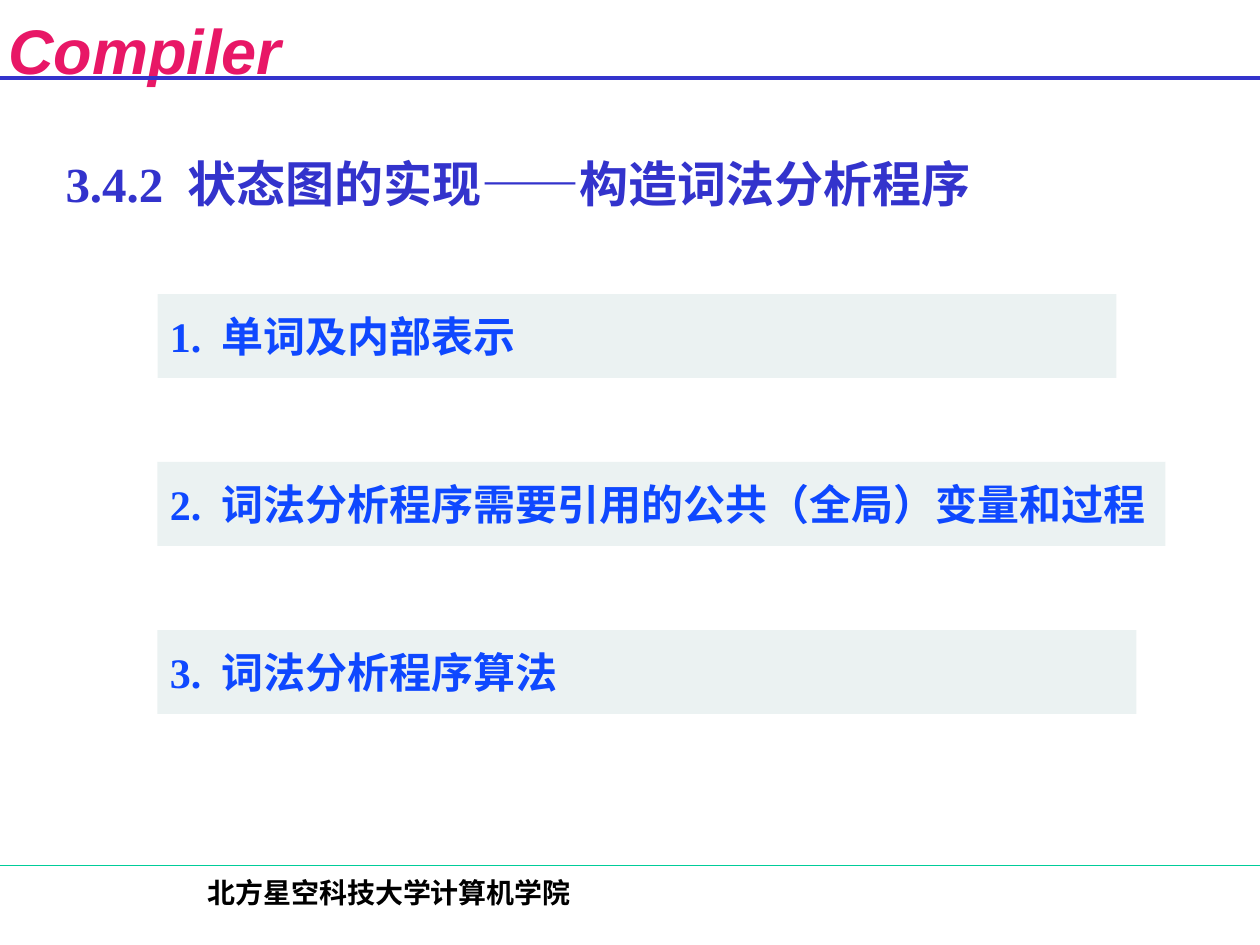
from dataclasses import dataclass

import pptx
import pptx.dml.color
import pptx.enum.shapes
import pptx.enum.text
import pptx.oxml
import pptx.oxml.ns
import pptx.util

WIDTH = pptx.util.Inches(10)
HEIGHT = pptx.util.Inches(7.5)
COLUMNS, ROWS = 100, 45
LATIN, CHINESE = "Times New Roman", "Noto Sans CJK SC"
BLUE, ITEM_BLUE, ITEM_FILL = "3333CC", "0F48FF", "D9E6E6"
GREEN, PINK, BLACK = "00CC99", "E81766", "000000"
FIRST_ITEM_ROW, ITEM_PITCH, ITEM_ROWS = 14, 8, 4


@dataclass(frozen=True)
class Box:
    """Place and size in grid columns and rows."""
    column: float
    row: float
    columns: float
    rows: float


@dataclass(frozen=True)
class Style:
    size: float
    color: str
    latin: str = LATIN
    east_asian: str = CHINESE
    italic: bool = False


@dataclass(frozen=True)
class Item:
    number: str
    text: str
    columns: float


@dataclass(frozen=True)
class Rule:
    row: float
    color: str
    weight: float


ITEMS = [
    Item("1.", "单词及内部表示", 76.1),
    Item("2.", "词法分析程序需要引用的公共（全局）变量和过程", 80),
    Item("3.", "词法分析程序算法", 77.7),
]
RULES = [Rule(3.72, BLUE, 2.25), Rule(41.22, GREEN, 0.75)]


def x(columns: float) -> int:
    return round(WIDTH * columns / COLUMNS)


def y(rows: float) -> int:
    return round(HEIGHT * rows / ROWS)


def rgb(color: str) -> pptx.dml.color.RGBColor:
    return pptx.dml.color.RGBColor.from_string(color)


def place(shape, box: Box) -> None:
    shape.left, shape.top = x(box.column), y(box.row)
    shape.width, shape.height = x(box.columns), y(box.rows)


def add_run(paragraph, text: str, style: Style) -> None:
    run = paragraph.add_run()
    run.text = text
    font = run.font
    font.size, font.bold, font.italic = pptx.util.Pt(style.size), True, style.italic
    font.name = style.latin
    font.color.rgb = rgb(style.color)
    east_asian = pptx.oxml.parse_xml(
        f'<a:ea {pptx.oxml.ns.nsdecls("a")} typeface="{style.east_asian}"/>')
    run.font._element.find(pptx.oxml.ns.qn("a:latin")).addnext(east_asian)


def prepare_heading(shape, hanging: float):
    """Set left-aligned, centred-height text with a hanging number; return its paragraph."""
    frame = shape.text_frame
    frame.word_wrap = True
    frame.auto_size = pptx.enum.text.MSO_AUTO_SIZE.NONE
    frame.vertical_anchor = pptx.enum.text.MSO_ANCHOR.MIDDLE
    paragraph = frame.paragraphs[0]
    paragraph.alignment = pptx.enum.text.PP_ALIGN.LEFT
    properties = paragraph._p.get_or_add_pPr()
    indent = pptx.util.Inches(hanging)
    properties.set("marL", str(indent))
    properties.set("indent", str(-indent))
    return paragraph


def add_label(slide, box: Box, text: str, style: Style) -> None:
    shape = slide.shapes.add_textbox(0, 0, 0, 0)
    place(shape, box)
    frame = shape.text_frame
    frame.word_wrap = True
    frame.margin_left = frame.margin_right = 0
    paragraph = frame.paragraphs[0]
    paragraph.alignment = pptx.enum.text.PP_ALIGN.CENTER
    add_run(paragraph, text, style)


def add_rule(slide, rule: Rule) -> None:
    connector = slide.shapes.add_connector(
        pptx.enum.shapes.MSO_CONNECTOR.STRAIGHT, 0, y(rule.row), WIDTH, y(rule.row))
    connector.line.color.rgb = rgb(rule.color)
    connector.line.width = pptx.util.Pt(rule.weight)
    connector._element.spPr.append(
        pptx.oxml.parse_xml(f'<a:effectLst {pptx.oxml.ns.nsdecls("a")}/>'))


def add_item(slide, item: Item, row: float) -> None:
    shape = slide.shapes.add_shape(pptx.enum.shapes.MSO_SHAPE.RECTANGLE, 0, 0, 0, 0)
    place(shape, Box(12.5, row, item.columns, ITEM_ROWS))
    shape.shadow.inherit = False
    shape.line.fill.background()
    shape.fill.solid()
    shape.fill.fore_color.rgb = rgb(ITEM_FILL)
    color = shape._element.spPr.find(".//" + pptx.oxml.ns.qn("a:srgbClr"))
    color.append(pptx.oxml.parse_xml(
        f'<a:alpha {pptx.oxml.ns.nsdecls("a")} val="50000"/>'))
    paragraph = prepare_heading(shape, 0.41)
    add_run(paragraph, f"{item.number}\t{item.text}", Style(24, ITEM_BLUE))


def fill_title(title) -> None:
    place(title, Box(4.2, 6.48, 89.1, 4.5))
    paragraph = prepare_heading(title, 0.97)
    number = Style(28, BLUE)
    chinese = Style(28, BLUE, latin=CHINESE)
    add_run(paragraph, "3.4.2\t", number)
    add_run(paragraph, "状态图的实现", chinese)
    add_run(paragraph, "——", number)
    add_run(paragraph, "构造词法分析程序", chinese)


def main() -> None:
    presentation = pptx.Presentation()
    presentation.slide_width, presentation.slide_height = WIDTH, HEIGHT
    slide = presentation.slides.add_slide(
        presentation.slide_layouts.get_by_name("Title Only"))
    fill_title(slide.shapes.title)
    add_label(slide, Box(0, 0.24, 23, 3.72), "Compiler",
              Style(36, PINK, latin="Arial", italic=True))
    add_label(slide, Box(5.9, 41.4, 50, 3), "北方星空科技大学计算机学院",
              Style(16, BLACK))
    for rule in RULES:
        add_rule(slide, rule)
    for index, item in enumerate(ITEMS):
        add_item(slide, item, FIRST_ITEM_ROW + index * ITEM_PITCH)
    presentation.save("out.pptx")


if __name__ == "__main__":
    main()
